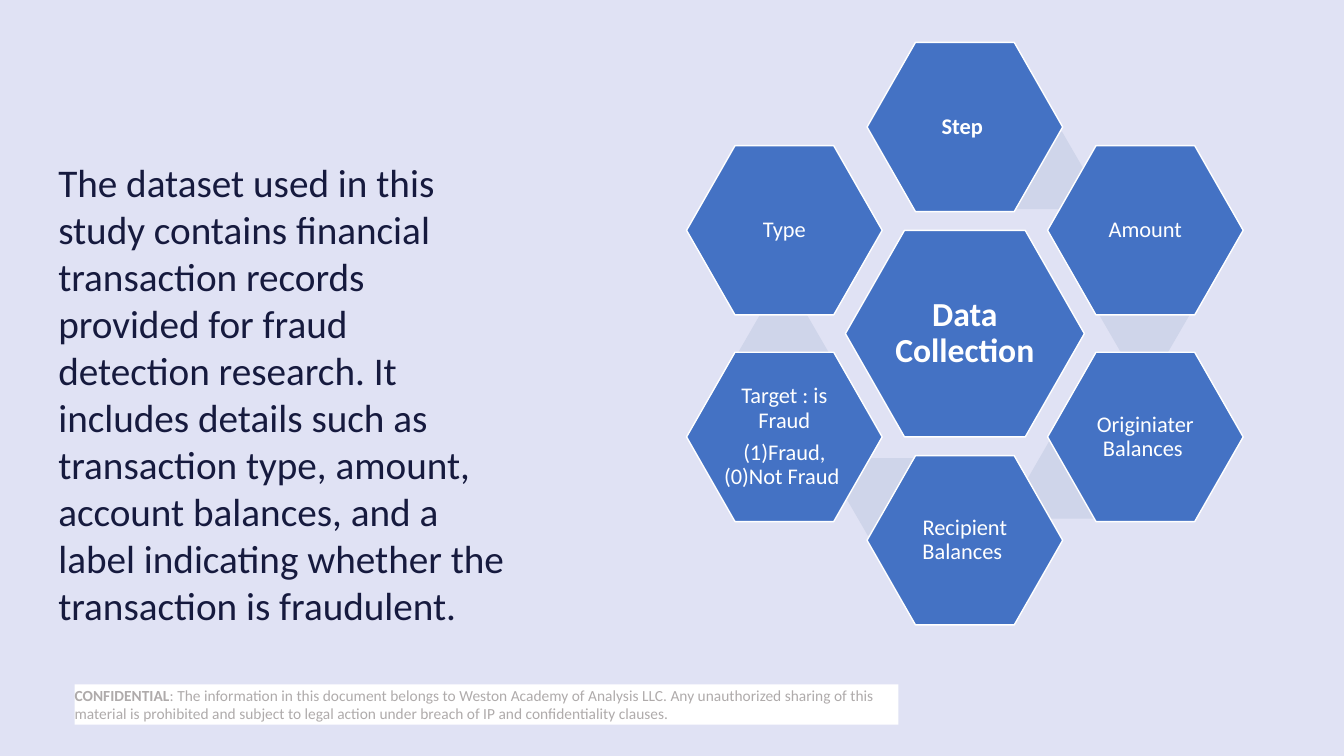
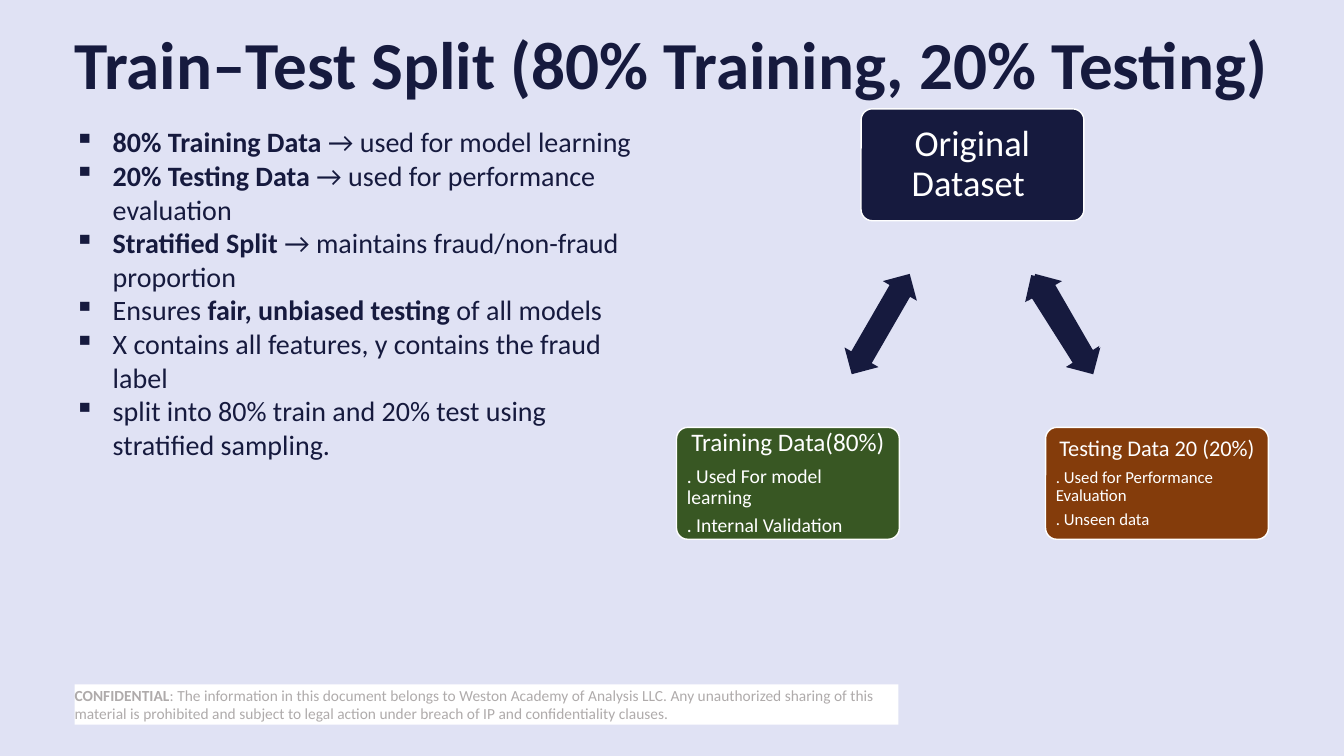
from lxml import etree
from pptx import Presentation
from pptx.dml.color import RGBColor
from pptx.enum.shapes import MSO_SHAPE
from pptx.enum.text import MSO_ANCHOR, MSO_AUTO_SIZE, PP_ALIGN
from pptx.oxml.ns import qn
from pptx.util import Inches, Pt

HEXAGON = MSO_SHAPE.HEXAGON
RECTANGLE = MSO_SHAPE.RECTANGLE
ROUNDED = MSO_SHAPE.ROUNDED_RECTANGLE
DOUBLE_ARROW = MSO_SHAPE.LEFT_RIGHT_ARROW
LEFT, CENTER = PP_ALIGN.LEFT, PP_ALIGN.CENTER
MIDDLE, TOP = MSO_ANCHOR.MIDDLE, MSO_ANCHOR.TOP
GROW = MSO_AUTO_SIZE.SHAPE_TO_FIT_TEXT

LAVENDER = RGBColor(0xE0, 0xE2, 0xF4)
NAVY = RGBColor(0x16, 0x1A, 0x3E)
BLUE = RGBColor(0x44, 0x72, 0xC4)
PALE_BLUE = RGBColor(0xCF, 0xD5, 0xEA)
GREEN = RGBColor(0x38, 0x57, 0x23)
BROWN = RGBColor(0x84, 0x3C, 0x0B)
GREY = RGBColor(0xAF, 0xAB, 0xAB)
WHITE = RGBColor(0xFF, 0xFF, 0xFF)
FONT = "Calibri"

FOOTER_BOX = (0.74, 6.79, 8.17, 0.4)
FOOTER = [
    ("CONFIDENTIAL", True),
    (": The information in this document belongs to Weston Academy of Analysis LLC. "
     "Any unauthorized sharing of this material is prohibited and subject to legal action "
     "under breach of IP and confidentiality clauses.", False),
]

DATASET_NOTE = (
    "The dataset used in this study contains financial transaction records provided for "
    "fraud detection research. It includes details such as transaction type, amount, "
    "account balances, and a label indicating whether the transaction is fraudulent."
)
RING_FIELDS = [
    (0, -2, ["Step "], True),
    (1, -1, ["Amount"], False),
    (1, 1, ["Originiater Balances "], False),
    (0, 2, ["Recipient Balances "], False),
    (-1, 1, ["Target : is Fraud", "(1)Fraud, (0)Not Fraud "], False),
    (-1, -1, ["Type"], False),
]
RING_LINKS = [(0.74, -1.62), (1.78, -0.18), (1.06, 1.45), (-0.74, 1.62), (-1.8, 0.18)]

SPLIT_POINTS = [
    [("80% Training Data", True), (" → used for model learning", False)],
    [("20% Testing Data", True), (" → used for performance evaluation", False)],
    [("Stratified Split", True), (" → maintains fraud/non-fraud proportion", False)],
    [("Ensures ", False), ("fair, unbiased testing", True), (" of all models", False)],
    [("X contains all features, y contains the fraud label", False)],
    [("split into 80% train and 20% test using stratified sampling.", False)],
]
SPLIT_NODES = [
    (1.83, 0, NAVY, 0.11, [("Original Dataset ", 26, CENTER)]),
    (3.66, 3.16, BROWN, 0.07, [
        ("Testing Data 20 (20%)", 16, CENTER),
        (". Used for Performance Evaluation", 12, LEFT),
        (". Unseen data", 12, LEFT),
    ]),
    (0, 3.16, GREEN, 0.07, [
        ("Training Data(80%)", 18, CENTER),
        (". Used For model learning", 14, LEFT),
        (". Internal Validation", 14, LEFT),
    ]),
]
SPLIT_ARROWS = [(3.27, 60), (3.25, 237.7), (1.45, 300)]


def apply(target, formats):
    """Set every attribute named in formats on target."""
    for name, value in formats.items():
        setattr(target, name, value)


def centred(x, y, width, height):
    """Return the box of the given size centred on a point."""
    return x - width / 2, y - height / 2, width, height


def set_frame(shape, inset, anchor):
    """Wrap the text of a shape with equal insets and return its frame."""
    frame = shape.text_frame
    margins = dict.fromkeys(
        ("margin_left", "margin_top", "margin_right", "margin_bottom"), Inches(inset))
    apply(frame, {"word_wrap": True, "vertical_anchor": anchor, **margins})
    return frame


def add_paragraph(frame, index, runs, size, color, formats=None, bullet=None):
    """Write one paragraph of (text, bold) runs."""
    paragraph = frame.paragraphs[0] if index == 0 else frame.add_paragraph()
    apply(paragraph, {"alignment": LEFT, **(formats or {})})
    if bullet:
        properties = paragraph._p.get_or_add_pPr()
        properties.set("marL", str(Inches(0.38)))
        properties.set("indent", str(-Inches(0.38)))
        etree.SubElement(properties, qn("a:buChar")).set("char", bullet)
    for text, bold in runs:
        run = paragraph.add_run()
        run.text = text
        apply(run.font, {"name": FONT, "size": Pt(size), "bold": bold})
        run.font.color.rgb = color


def add_node_text(shape, lines, inset):
    """Fill a diagram node with (text, size, alignment, bold) lines."""
    frame = set_frame(shape, inset, MIDDLE)
    for index, (text, size, alignment, bold) in enumerate(lines):
        spacing = {"alignment": alignment, "line_spacing": 0.9, "space_after": Pt(0.35 * size)}
        add_paragraph(frame, index, [(text, bold)], size, WHITE, spacing)


def add_block(slide, preset, box, fill, outline=None, adjustments=()):
    """Draw a flat preset shape in the given box."""
    shape = slide.shapes.add_shape(preset, *map(Inches, box))
    shape.shadow.inherit = False
    shape.fill.solid()
    shape.fill.fore_color.rgb = fill
    if outline is None:
        shape.line.fill.background()
    else:
        shape.line.color.rgb = outline
        shape.line.width = Pt(1)
    for index, value in enumerate(adjustments):
        shape.adjustments[index] = value
    return shape


def add_copy(slide, box, paragraphs, size, bullet=None):
    """Place navy text paragraphs in the given box."""
    frame = slide.shapes.add_textbox(*map(Inches, box)).text_frame
    apply(frame, {"word_wrap": True, "auto_size": GROW, "vertical_anchor": TOP})
    for index, runs in enumerate(paragraphs):
        add_paragraph(frame, index, runs, size, NAVY, bullet=bullet)


def add_footer(slide):
    """Place the confidentiality band."""
    band = add_block(slide, RECTANGLE, FOOTER_BOX, WHITE)
    add_paragraph(set_frame(band, 0, MIDDLE), 0, FOOTER, 11, GREY)


def add_hexagon_ring(slide, box):
    """Draw the hub, its links and the six field hexagons within the box."""
    left, top, width, height = box
    x, y = left + width / 2, top + height / 2
    hub = add_block(slide, HEXAGON, centred(x, y, 2.37, 2.05), BLUE, WHITE, [0.286])
    add_node_text(hub, [("Data Collection", 24, CENTER, True)], 0.03)
    for dx, dy in RING_LINKS:
        add_block(slide, HEXAGON, centred(x + dx, y + dy, 0.89, 0.77), PALE_BLUE,
                  adjustments=[0.289])
    field_width, field_height = 1.94, 1.68
    column = (width - field_width) / 2
    row = (height - field_height) / 4
    for across, down, texts, bold in RING_FIELDS:
        place = centred(x + across * column, y + down * row, field_width, field_height)
        field = add_block(slide, HEXAGON, place, BLUE, WHITE, [0.286])
        add_node_text(field, [(text, 16, CENTER, bold) for text in texts], 0.02)


def add_split_diagram(slide, box):
    """Draw the dataset, its two parts and the arrows between them."""
    left, top, _, height = box
    for dx, dy, fill, inset, lines in SPLIT_NODES:
        node = add_block(slide, ROUNDED, (left + dx, top + dy, 2.21, 1.11), fill, WHITE, [0.1])
        add_node_text(node, [(*line, False) for line in lines], inset)
    for dx, angle in SPLIT_ARROWS:
        place = (left + dx, top + height / 2 - 0.195, 1.15, 0.39)
        arrow = add_block(slide, DOUBLE_ARROW, place, NAVY, adjustments=[0.6, 0.5])
        arrow.rotation = angle


def build_data_slide(slide):
    """Build the data collection slide."""
    add_footer(slide)
    add_hexagon_ring(slide, (6.81, 0.42, 5.52, 5.78))
    add_copy(slide, (0.48, 1.52, 4.64, 4.81), [[(DATASET_NOTE, False)]], 28)


def build_split_slide(slide):
    """Build the train and test split slide."""
    add_footer(slide)
    title = [[("Train–Test Split (80% Training, 20% Testing)", True)]]
    add_copy(slide, (0.64, 0.17, 12.43, 0.91), title, 48)
    add_copy(slide, (0.64, 1.19, 5.9, 3.47), SPLIT_POINTS, 20, "▪")
    add_split_diagram(slide, (6.71, 1.08, 5.87, 4.27))


def main():
    """Build and save the presentation."""
    deck = Presentation()
    apply(deck, {"slide_width": Inches(13.33), "slide_height": Inches(7.5)})
    backdrop = deck.slide_master.background.fill
    backdrop.solid()
    backdrop.fore_color.rgb = LAVENDER
    for build in (build_data_slide, build_split_slide):
        build(deck.slides.add_slide(deck.slide_layouts[6]))
    deck.save("out.pptx")


if __name__ == "__main__":
    main()
